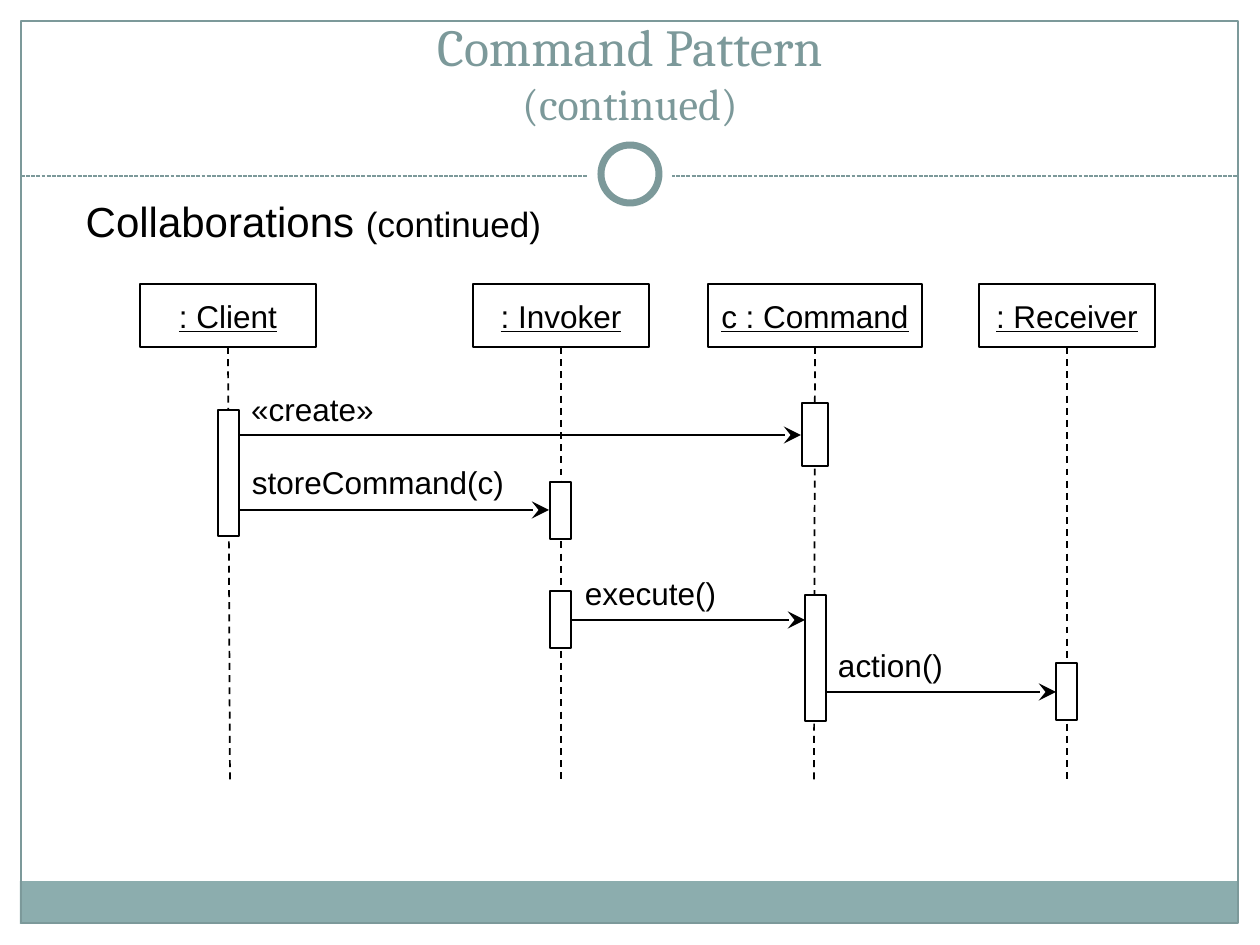
from lxml import etree
from pptx import Presentation
from pptx.dml.color import RGBColor
from pptx.enum import dml, shapes, text
from pptx.oxml import ns
from pptx.util import Emu, Pt

PX = 914400 / 126
BLACK, WHITE, TEAL, BAND = "000000", "FFFFFF", "7C999A", "8CADAE"
RECT, OVAL = shapes.MSO_SHAPE.RECTANGLE, shapes.MSO_SHAPE.OVAL
DASH, FINE_DASH = dml.MSO_LINE.DASH, dml.MSO_LINE.SQUARE_DOT

prs = Presentation()
prs.slide_width, prs.slide_height = Emu(round(1260 * PX)), Emu(round(945 * PX))
s = prs.slides.add_slide(prs.slide_layouts[6])


def add_item(kind, box, fill=None, line=None, width=1, dash=None, arrow=False):
    a, b, c, d = [Emu(round(v * PX)) for v in box]
    if kind == "text":
        return s.shapes.add_textbox(a, b, c, d)
    if kind == "line":
        sp = s.shapes.add_connector(shapes.MSO_CONNECTOR.STRAIGHT, a, b, c, d)
        etree.SubElement(sp._element.spPr, ns.qn("a:effectLst"))
    else:
        sp = s.shapes.add_shape(kind, a, b, c, d)
        sp.shadow.inherit = False
        if fill:
            sp.fill.solid()
            sp.fill.fore_color.rgb = RGBColor.from_string(fill)
        else:
            sp.fill.background()
    if line:
        sp.line.color.rgb = RGBColor.from_string(line)
        sp.line.width = Pt(width)
        if dash:
            sp.line.dash_style = dash
        if arrow:
            etree.SubElement(sp.line._get_or_add_ln(), ns.qn("a:tailEnd"), type="stealth", w="lg", len="lg")
    else:
        sp.line.fill.background()
    return sp


def write(sp, runs, font="Arial", color=BLACK, underline=None, anchor=text.MSO_ANCHOR.MIDDLE, wrap=False):
    tf = sp.text_frame
    tf.word_wrap = wrap
    tf.vertical_anchor = anchor
    p = tf.paragraphs[0]
    p.alignment = text.PP_ALIGN.CENTER
    for words, size in runs:
        if words == "\n":
            p.add_line_break()
            continue
        r = p.add_run()
        r.text = words
        r.font.name, r.font.size, r.font.underline = font, Pt(size), underline
        r.font.color.rgb = RGBColor.from_string(color)


add_item(RECT, (20, 881, 1218, 43), BAND)
add_item(RECT, (21, 21, 1217, 902), None, TEAL, 0.75)
add_item("line", (21, 176, 1238, 176), None, TEAL, 0.75, FINE_DASH)
add_item(OVAL, (588, 132, 84, 84), WHITE)
add_item(OVAL, (601, 145, 58, 58), WHITE, TEAL, 4)

title = add_item("text", (42, 31, 1176, 105))
write(title, [("Command Pattern", 29.7), ("\n", 0), ("(continued)", 25.2)],
      "Cambria", TEAL, anchor=text.MSO_ANCHOR.BOTTOM, wrap=True)
heading = add_item("text", (71, 189, 485, 63))
write(heading, [("Collaborations ", 24), ("(continued)", 20)], anchor=text.MSO_ANCHOR.TOP)

participants = [
    (": Client", 140, 176, 228, 230),
    (": Invoker", 473, 176, 561, 561),
    ("c : Command", 708, 214, 815, 814),
    (": Receiver", 979, 176, 1067, 1067),
]
for name, left, width, top_x, bottom_x in participants:
    head = add_item(RECT, (left, 284, width, 63), None, BLACK)
    write(head, [(name, 18)], underline=True)
    add_item("line", (top_x, 347, bottom_x, 784), None, BLACK, dash=DASH)

messages = [
    ("«create»", 234, 801, 435, (238, 384, 149, 50)),
    ("storeCommand(c)", 234, 549, 510, (238, 457, 280, 50)),
    ("execute()", 566, 805, 620, (572, 568, 157, 50)),
    ("action()", 816, 1056, 692, (825, 640, 131, 50)),
]
for name, start, end, y, box in messages:
    add_item("line", (start, y, end, y), None, BLACK, arrow=True)
    write(add_item("text", box), [(name, 18)])

activations = [
    (218, 410, 21, 126), (550, 482, 21, 57), (802, 403, 26, 63),
    (550, 591, 21, 57), (805, 595, 21, 126), (1056, 663, 21, 57),
]
for box in activations:
    add_item(RECT, box, WHITE, BLACK)

prs.save("out.pptx")
